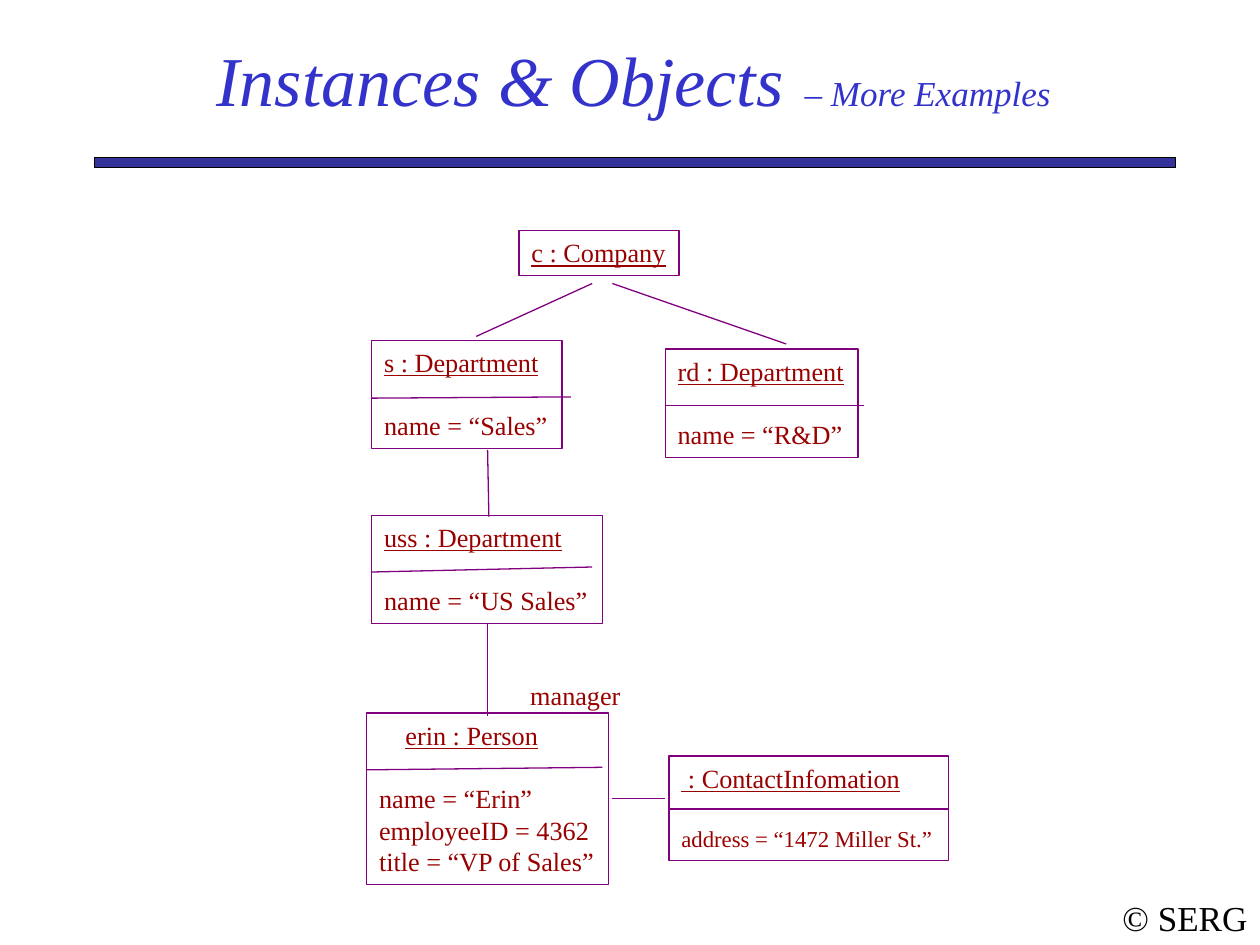
from pptx import Presentation
from pptx.dml.color import RGBColor
from pptx.enum.shapes import MSO_CONNECTOR, MSO_SHAPE
from pptx.enum.text import MSO_ANCHOR, MSO_AUTO_SIZE, PP_ALIGN
from pptx.oxml.ns import qn
from pptx.util import Inches, Pt
from lxml import etree

STRAIGHT = MSO_CONNECTOR.STRAIGHT
RECT = MSO_SHAPE.RECTANGLE
TOP, MIDDLE = MSO_ANCHOR.TOP, MSO_ANCHOR.MIDDLE
LEFT, CENTER = PP_ALIGN.LEFT, PP_ALIGN.CENTER
FIT = MSO_AUTO_SIZE.SHAPE_TO_FIT_TEXT

FONT = "Times New Roman"
BLACK = RGBColor(0x00, 0x00, 0x00)
NAVY = RGBColor(0x33, 0x33, 0x99)
BLUE = RGBColor(0x33, 0x33, 0xCC)
PURPLE = RGBColor(0x80, 0x00, 0x80)
RED = RGBColor(0x99, 0x00, 0x00)

TEXT_SIZE = 15
ATTRIBUTE_GAP = 18  # one text line between an object's name and its attributes

TITLE = [("Instances & Objects", 40), (" ", 48), ("– More Examples", 20)]

# left, top, width, height; name; attributes; attribute size; name indent;
# divider: start drop, end drop, length
OBJECTS = [
    ((4.12, 1.83, 1.27, 0.36), "c : Company", [], TEXT_SIZE, 0, None),
    ((2.95, 2.7, 1.51, 0.86), "s : Department", ["name = “Sales”"],
     TEXT_SIZE, 0, (0.46, 0.45, 1.58)),
    ((2.95, 4.09, 1.83, 0.86), "uss : Department", ["name = “US Sales”"],
     TEXT_SIZE, 0, (0.45, 0.41, 1.75)),
    ((2.91, 5.66, 1.92, 1.36), "erin : Person",
     ["name = “Erin”", "employeeID = 4362", "title = “VP of Sales”"],
     TEXT_SIZE, 0.21, (0.45, 0.43, 1.87)),
    ((5.28, 2.77, 1.53, 0.86), "rd : Department", ["name = “R&D”"],
     TEXT_SIZE, 0, (0.45, 0.45, 1.58)),
    ((5.31, 6, 2.22, 0.83), " : ContactInfomation",
     ["address = “1472 Miller St.”"], 13, 0, (0.42, 0.42, 2.22)),
]

LINKS = [
    (4.86, 6.34, 5.28, 6.34),  # person to contact information
    (4.7, 2.25, 3.78, 2.67),   # company to sales
    (4.86, 2.25, 6.24, 2.73),  # company to R&D
    (3.87, 3.57, 3.88, 4.1),   # sales to US sales
    (3.87, 4.95, 3.87, 5.68),  # US sales to person
]


def inches(values):
    return [Inches(v) for v in values]


def add_run(p, text, size, color, **formats):
    r = p.add_run()
    r.text = text
    r.font.color.rgb = color
    for key, value in dict(name=FONT, size=Pt(size), **formats).items():
        setattr(r.font, key, value)


def add_rect(s, box, line, fill=None):
    sp = s.shapes.add_shape(RECT, *inches(box))
    sp.shadow.inherit = False
    if fill is None:
        sp.fill.background()
    else:
        sp.fill.solid()
        sp.fill.fore_color.rgb = fill
    sp.line.color.rgb = line
    sp.line.width = Pt(0.75)
    return sp


def add_line(s, *ends):
    cn = s.shapes.add_connector(STRAIGHT, *inches(ends))
    cn.line.color.rgb = PURPLE
    cn.line.width = Pt(0.75)
    etree.SubElement(cn._element.spPr, qn("a:effectLst"))


def add_text(s, box, runs, color, wrap=False, align=LEFT, anchor=TOP, **formats):
    tf = s.shapes.add_textbox(*inches(box)).text_frame
    tf.word_wrap, tf.vertical_anchor = wrap, anchor
    p = tf.paragraphs[0]
    p.alignment = align
    for text, size in runs:
        add_run(p, text, size, color, **formats)


def add_object(s, box, name, attributes, size, indent, divider):
    """Draw a UML object: underlined name, divider and attribute lines."""
    tf = add_rect(s, box, PURPLE).text_frame
    for key, value in dict(word_wrap=False, auto_size=FIT,
                           vertical_anchor=TOP).items():
        setattr(tf, key, value)
    p = tf.paragraphs[0]
    p.alignment = LEFT
    if indent:
        p._p.get_or_add_pPr().set("indent", str(Inches(indent)))
    add_run(p, name, TEXT_SIZE, RED, underline=True)
    for i, attribute in enumerate(attributes):
        p = tf.add_paragraph()
        p.alignment = LEFT
        if i == 0:
            p.space_before = Pt(ATTRIBUTE_GAP)
        add_run(p, attribute, size, RED)
    if divider:
        left, top = box[:2]
        start, end, length = divider
        add_line(s, left, top + start, left + length, top + end)


def main():
    prs = Presentation()
    prs.slide_width, prs.slide_height = Inches(10), Inches(7.5)
    s = prs.slides.add_slide(prs.slide_layouts[6])

    add_text(s, (8.81, 7.07, 1.19, 0.43), [("© SERG", 20)], BLACK,
             align=CENTER, anchor=MIDDLE)
    add_rect(s, (0.75, 1.25, 8.58, 0.08), BLACK, NAVY)
    add_text(s, (0.33, 0.3, 9.4, 0.56), TITLE, BLUE, wrap=True,
             align=CENTER, anchor=MIDDLE, italic=True)
    for item in OBJECTS:
        add_object(s, *item)
    for link in LINKS:
        add_line(s, *link)
    add_text(s, (4.11, 5.34, 0.92, 0.35), [("manager", TEXT_SIZE)], RED)

    prs.save("out.pptx")


if __name__ == "__main__":
    main()
